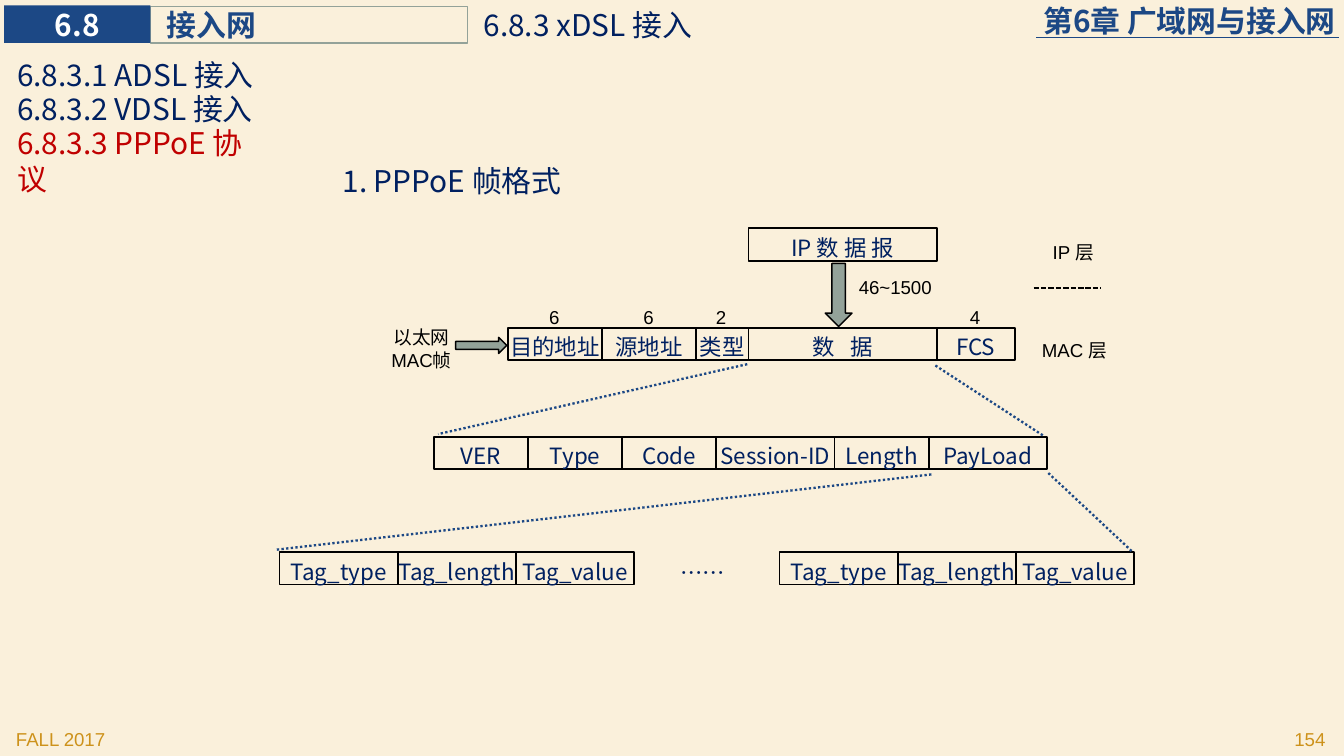
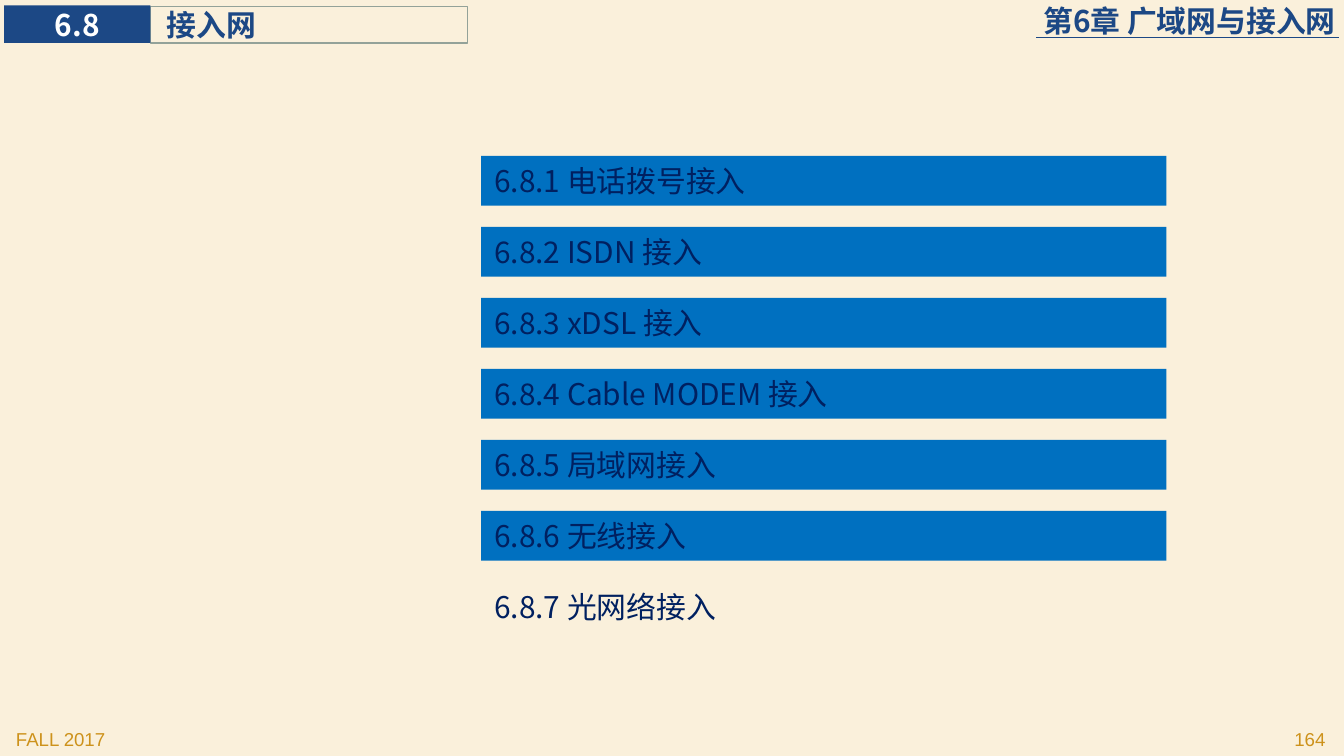
from lxml.etree import SubElement
from pptx import Presentation
from pptx.dml.color import RGBColor
from pptx.enum.dml import MSO_LINE
from pptx.enum.shapes import MSO_CONNECTOR, MSO_SHAPE
from pptx.enum.text import MSO_ANCHOR, MSO_AUTO_SIZE, PP_ALIGN
from pptx.oxml.ns import qn
from pptx.util import Inches, Pt

CREAM = RGBColor(0xFA, 0xF0, 0xDB)
BLUE = RGBColor(0x1C, 0x48, 0x85)
NAVY = RGBColor(0x00, 0x20, 0x60)
BAR_BLUE = RGBColor(0x00, 0x70, 0xC0)
RED = RGBColor(0xC0, 0x00, 0x00)
GOLD = RGBColor(0xCD, 0x92, 0x1B)
SAGE = RGBColor(0x93, 0xA2, 0x99)
BLACK = RGBColor(0, 0, 0)
WHITE = RGBColor(0xFF, 0xFF, 0xFF)

CJK_FONT, LATIN_FONT = "Noto Sans CJK SC", "Arial"
LEFT, CENTER, RIGHT = PP_ALIGN.LEFT, PP_ALIGN.CENTER, PP_ALIGN.RIGHT
TOP, MIDDLE, BOTTOM = MSO_ANCHOR.TOP, MSO_ANCHOR.MIDDLE, MSO_ANCHOR.BOTTOM
PADDED, FLUSH = (0.1, 0.05, 0.1, 0.05), (0, 0, 0, 0)

WIDTH = 10
HEIGHT = WIDTH * 9 / 16
CHAPTER, SECTION_NUMBER, SECTION = "第6章 广域网与接入网", "6.8", "接入网"
TERM = "FALL 2017"
FOOTER_TOP, FOOTER_SIZE = 5.37, (2.08, 0.23)
HEADING_HEIGHT = 0.37

TOPIC = "6.8.3 xDSL 接入"
SUBTOPICS = [("6.8.3.1 ADSL 接入", NAVY), ("6.8.3.2 VDSL 接入", NAVY),
             ("6.8.3.3 PPPoE 协议", RED)]
FRAME_HEADING = "1. PPPoE 帧格式"

# Field widths, shared by all the frame rows
ADDRESS, LONG, SHORT, DATA, CHECK = 0.7, 0.88, 0.39, 1.4, 0.58
FIELD_HEIGHT = 0.24
IP_TOP, MAC_TOP, PPPOE_TOP, TAG_TOP = 1.7, 2.44, 3.25, 4.11
DATA_LEFT = 5.57
TAGS = [("Tag_type", LONG), ("Tag_length", LONG), ("Tag_value", LONG)]
FRAME_ROWS = [
    (DATA_LEFT, IP_TOP, [("IP 数 据 报", DATA)]),
    (3.78, MAC_TOP, [("目的地址", ADDRESS), ("源地址", ADDRESS), ("类型", SHORT),
                     ("数   据", DATA), ("FCS", CHECK)]),
    (3.23, PPPOE_TOP, [("VER", ADDRESS), ("Type", ADDRESS), ("Code", ADDRESS),
                       ("Session-ID", LONG), ("Length", ADDRESS), ("PayLoad", LONG)]),
    (2.08, TAG_TOP, TAGS),
    (5.8, TAG_TOP, TAGS),
]
BYTE_COUNTS = [("6", 4.13), ("6", 4.83), ("2", 5.37), ("4", 7.26)]
LABELS = [("46~1500", (6.39, 2, 0.73, 0.22), LEFT),
          ("以太网\nMAC帧", (2.88, 2.37, 0.51, 0.39), CENTER),
          ("IP 层", (7.73, 1.74, 0.51, 0.22), CENTER),
          ("MAC 层", (7.73, 2.47, 0.53, 0.22), CENTER)]
ARROWS = [(MSO_SHAPE.DOWN_ARROW, (6.14, 1.96, 0.2, 0.47)),
          (MSO_SHAPE.RIGHT_ARROW, (3.39, 2.51, 0.38, 0.12))]
EXPANSIONS = [((5.56, 2.71), (3.26, 3.23)), ((6.96, 2.72), (7.76, 3.24)),
              ((6.93, 3.53), (2.06, 4.09)), ((7.8, 3.52), (8.42, 4.1))]

CONTENTS = ["6.8.1 电话拨号接入", "6.8.2 ISDN 接入", "6.8.3 xDSL 接入",
            "6.8.4 Cable MODEM 接入", "6.8.5 局域网接入", "6.8.6 无线接入",
            "6.8.7 光网络接入"]
CURRENT = CONTENTS[-1]


def spread(first, last, count):
    """Return count evenly spaced positions from first to last."""
    return [first + (last - first) * i / (count - 1) for i in range(count)]


def place(shape, box):
    shape.left, shape.top, shape.width, shape.height = map(Inches, box)


def write(shape, text, size=16, color=NAVY, font=CJK_FONT, bold=False,
          align=LEFT, anchor=TOP, insets=PADDED, wrap=True):
    frame = shape.text_frame
    frame.text = text
    frame.auto_size = MSO_AUTO_SIZE.NONE
    frame.word_wrap = wrap
    frame.vertical_anchor = anchor
    (frame.margin_left, frame.margin_top,
     frame.margin_right, frame.margin_bottom) = map(Inches, insets)
    for para in frame.paragraphs:
        para.alignment = align
        for span in para.runs:
            span.font.size = Pt(size)
            span.font.bold = bold
            span.font.name = font
            span.font.color.rgb = color
            SubElement(span.font._element, qn("a:ea"), typeface=CJK_FONT)


def add_text(page, box, text, **style):
    write(page.shapes.add_textbox(*map(Inches, box)), text, **style)


def add_box(page, box, fill=None, line=None, weight=1, kind=MSO_SHAPE.RECTANGLE):
    shape = page.shapes.add_shape(kind, *map(Inches, box))
    shape.shadow.inherit = False
    paint(shape, fill, line, weight)
    return shape


def paint(shape, fill, line, weight):
    if fill is None:
        shape.fill.background()
    else:
        shape.fill.solid()
        shape.fill.fore_color.rgb = fill
    if line is None:
        shape.line.fill.background()
    else:
        shape.line.color.rgb = line
        shape.line.width = Pt(weight)


def add_line(page, start, end, color, weight, dash=None):
    line = page.shapes.add_connector(MSO_CONNECTOR.STRAIGHT,
                                     *map(Inches, start + end))
    line.line.color.rgb = color
    line.line.width = Pt(weight)
    if dash is not None:
        line.line.dash_style = dash
    SubElement(line._element.spPr, qn("a:effectLst"))


def add_page(deck, number):
    """Add a slide with the shared header and footer."""
    page = deck.slides.add_slide(deck.slide_layouts.get_by_name("Title Only"))
    heading = dict(bold=True, anchor=MIDDLE)
    add_text(page, (6.18, 0.02, 3.76, 0.27), CHAPTER, color=BLUE, align=RIGHT,
             insets=FLUSH, **heading)
    add_line(page, (7.71, 0.28), (9.96, 0.28), BLUE, 0.5)

    title = page.shapes.title
    place(title, (1.12, 0.05, 2.36, 0.27))
    paint(title, None, SAGE, 0.75)
    write(title, SECTION, color=BLUE, insets=(0.12, 0, 0, 0), **heading)
    badge = add_box(page, (0.03, 0.04, 1.09, 0.28), fill=BLUE)
    write(badge, SECTION_NUMBER, color=WHITE, align=CENTER, insets=FLUSH,
          wrap=False, **heading)

    for left, text, align in ((0.02, TERM, LEFT), (7.88, str(number), RIGHT)):
        add_text(page, (left, FOOTER_TOP, *FOOTER_SIZE), text, size=10,
                 color=GOLD, font=LATIN_FONT, align=align)
    return page


def add_frame_row(page, left, top, fields):
    for text, width in fields:
        field = add_box(page, (left, top, width, FIELD_HEIGHT), line=BLACK)
        write(field, text, size=12, align=CENTER, anchor=BOTTOM, insets=FLUSH)
        left += width


def build_frame_format(deck):
    page = add_page(deck, 154)
    add_text(page, (3.5, 0, 5.1, HEADING_HEIGHT), TOPIC)
    for top, (text, color) in zip(spread(0.37, 0.88, len(SUBTOPICS)), SUBTOPICS):
        add_text(page, (0.03, top, 2.06, HEADING_HEIGHT), text, color=color)
    add_text(page, (2.45, 1.16, 6.41, 0.57), FRAME_HEADING)

    for row in FRAME_ROWS:
        add_frame_row(page, *row)
    add_text(page, (4.89, TAG_TOP, 0.68, 0.3), "……", size=12, align=CENTER)

    counts = [(text, (middle - 0.14, 2.22, 0.27, 0.22), CENTER)
              for text, middle in BYTE_COUNTS]
    for text, box, align in counts + LABELS:
        add_text(page, box, text, size=10, color=BLACK, font=LATIN_FONT,
                 align=align, anchor=BOTTOM, insets=(0, 0.05, 0, 0))
    for kind, box in ARROWS:
        add_box(page, box, fill=SAGE, line=BLACK, weight=0.75, kind=kind)
    add_line(page, (7.69, 2.14), (8.19, 2.14), BLACK, 1, MSO_LINE.SQUARE_DOT)
    for start, end in EXPANSIONS:
        add_line(page, start, end, BLUE, 1.25, MSO_LINE.ROUND_DOT)


def build_contents(deck):
    page = add_page(deck, 164)
    for top, text in zip(spread(1.16, 4.33, len(CONTENTS)), CONTENTS):
        fill = None if text == CURRENT else BAR_BLUE
        write(add_box(page, (3.58, top, 5.1, HEADING_HEIGHT), fill=fill), text)


def main():
    deck = Presentation()
    deck.slide_width, deck.slide_height = Inches(WIDTH), Inches(HEIGHT)
    background = deck.slide_master.background.fill
    background.solid()
    background.fore_color.rgb = CREAM
    build_frame_format(deck)
    build_contents(deck)
    deck.save("out.pptx")


if __name__ == "__main__":
    main()
